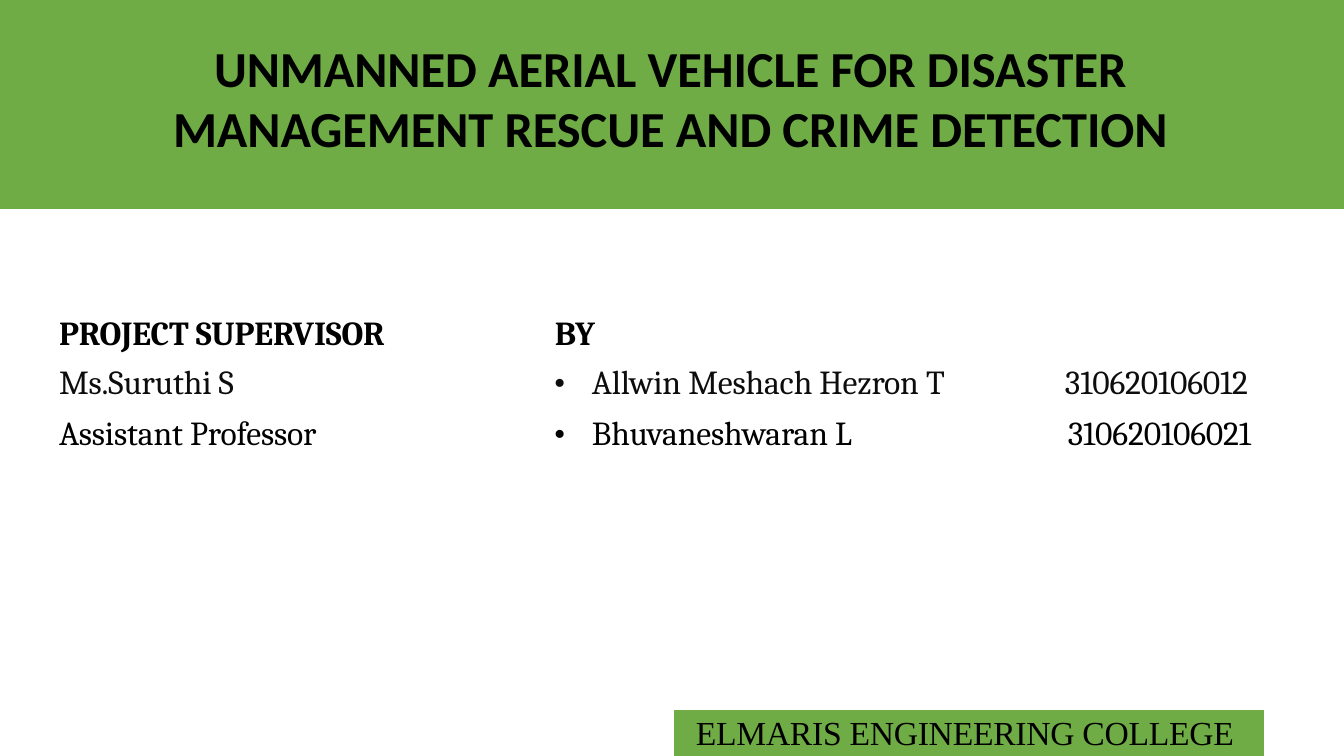
from dataclasses import dataclass

from pptx import Presentation
from pptx.dml.color import RGBColor
from pptx.enum.shapes import MSO_SHAPE as Shape
from pptx.enum.text import MSO_ANCHOR as Anchor, MSO_AUTO_SIZE as AutoSize, PP_ALIGN as Align
from pptx.oxml.xmlchemy import OxmlElement
from pptx.util import Pt

# Content
TITLE = "UNMANNED AERIAL VEHICLE FOR DISASTER MANAGEMENT RESCUE AND CRIME DETECTION"
COLLEGE = "ELMARIS ENGINEERING COLLEGE"
PEOPLE = [
    ("PROJECT SUPERVISOR", "BY", ""),
    ("Ms.Suruthi S", "Allwin Meshach Hezron T", "310620106012"),
    ("Assistant Professor", "Bhuvaneshwaran L", "310620106021"),
]

# Layout in px: left, top, width, height
TITLE_BAND = (0, 0, 1344, 209)
FOOTER_BAND = (674, 710, 590, 46)
TITLE_BOX = (54, 13, 1236, 143)
COLLEGE_BOX = (695, 714, 549, 40)
TABLE_BOX = (56, 315, 1197, 139)
COLUMN_WIDTHS = (421, 514, 262)
ROW_HEIGHTS = (45, 50, 44)
ROW_LINE_SPACING = (Pt(27.6), None, Pt(28.4))
ROW_RIGHT_MARGINS = (0, 5, 2)
HEADING_INDENTS = (3, 78, 0)
BULLET_INDENT, BULLET_HANG = 115, -38


@dataclass(frozen=True)
class Theme:
    green: RGBColor = RGBColor(0x6F, 0xAC, 0x46)
    black: RGBColor = RGBColor(0, 0, 0)
    soft_black: RGBColor = RGBColor(0x0D, 0x0D, 0x0D)
    title_font: str = "Calibri"
    table_font: str = "Cambria"
    footer_font: str = "Times New Roman"
    title_size: int = 36
    body_size: int = 24


THEME = Theme()


def px(length):
    return round(length * 914400 / 100.8)


def set_margins(holder, top=0, right=0):
    holder.margin_left = holder.margin_bottom = 0
    holder.margin_top, holder.margin_right = px(top), px(right)


def style_runs(paragraph, font, size, color=THEME.black, bold=False, tracking=-10):
    for run in paragraph.runs:
        run.font.name, run.font.size, run.font.bold = font, Pt(size), bold
        run.font.color.rgb = color
        run._r.get_or_add_rPr().set("spc", str(tracking))


def set_indent(paragraph, left, first=0, bullet=None):
    properties = paragraph._p.get_or_add_pPr()
    properties.set("marL", str(px(left)))
    properties.set("indent", str(px(first)))
    if bullet:
        for tag, name, value in (("a:buFont", "typeface", THEME.footer_font),
                                 ("a:buChar", "char", bullet)):
            mark = OxmlElement(tag)
            mark.set(name, value)
            properties.append(mark)


def add_band(slide, box):
    band = slide.shapes.add_shape(Shape.RECTANGLE, *map(px, box))
    band.fill.solid()
    band.fill.fore_color.rgb = THEME.green
    band.line.fill.background()
    band.shadow.inherit = False


def add_people_table(slide):
    table = slide.shapes.add_table(len(PEOPLE), len(COLUMN_WIDTHS), *map(px, TABLE_BOX)).table
    table.first_row = table.horz_banding = False
    for column, width in zip(table.columns, COLUMN_WIDTHS):
        column.width = px(width)
    for row_index, names in enumerate(PEOPLE):
        table.rows[row_index].height = px(ROW_HEIGHTS[row_index])
        heading = row_index == 0
        for column_index, text in enumerate(names):
            cell = table.cell(row_index, column_index)
            cell.fill.background()
            set_margins(cell, 0 if heading else 4, ROW_RIGHT_MARGINS[row_index])
            paragraph = cell.text_frame.paragraphs[0]
            paragraph.text = text
            paragraph.line_spacing = ROW_LINE_SPACING[row_index]
            paragraph.space_before = Pt(0 if heading else 2.6)
            if column_index == 2:
                paragraph.alignment = Align.RIGHT
            elif column_index == 1 and not heading:
                set_indent(paragraph, BULLET_INDENT, BULLET_HANG, "•")
            else:
                set_indent(paragraph, HEADING_INDENTS[column_index])
            color = THEME.soft_black if row_index == 1 else THEME.black
            style_runs(paragraph, THEME.table_font, THEME.body_size, color, heading)


def add_college(slide):
    frame = slide.shapes.add_textbox(*map(px, COLLEGE_BOX)).text_frame
    # The name stays on one line inside its band
    frame.word_wrap = False
    set_margins(frame)
    paragraph = frame.paragraphs[0]
    paragraph.text = COLLEGE
    paragraph.alignment = Align.LEFT
    paragraph.line_spacing = Pt(27.2)
    set_indent(paragraph, 1)
    style_runs(paragraph, THEME.footer_font, THEME.body_size, tracking=-20)


def fill_title(slide):
    title = slide.shapes.title
    title.left, title.top, title.width, title.height = map(px, TITLE_BOX)
    frame = title.text_frame
    frame.text = TITLE
    frame.word_wrap = True
    frame.auto_size = AutoSize.NONE
    frame.vertical_anchor = Anchor.TOP
    set_margins(frame, 24)
    paragraph = frame.paragraphs[0]
    paragraph.alignment = Align.LEFT
    paragraph.space_before = Pt(1)
    set_indent(paragraph, 119, 41)
    style_runs(paragraph, THEME.title_font, THEME.title_size, bold=True, tracking=-5)
    # Bring the title in front of its band
    slide.shapes._spTree.append(title._element)


def main():
    presentation = Presentation()
    presentation.slide_width, presentation.slide_height = px(1344), px(756)
    slide = presentation.slides.add_slide(presentation.slide_layouts[5])
    for box in (FOOTER_BAND, TITLE_BAND):
        add_band(slide, box)
    add_people_table(slide)
    add_college(slide)
    fill_title(slide)
    presentation.save("out.pptx")


if __name__ == "__main__":
    main()
